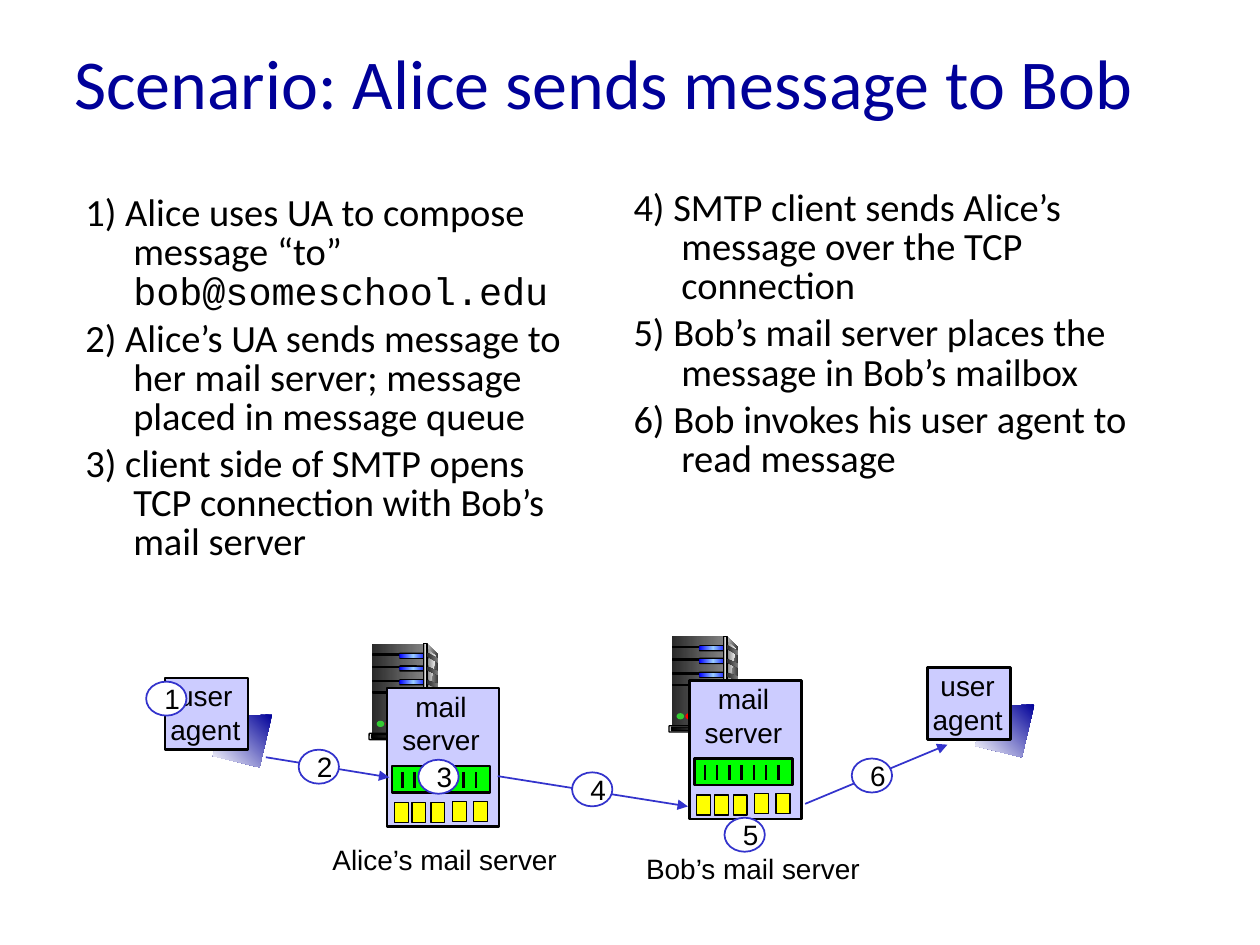
from lxml import etree
from pptx import Presentation
from pptx.dml.color import RGBColor
from pptx.enum.shapes import MSO_CONNECTOR, MSO_SHAPE
from pptx.enum.text import MSO_ANCHOR, MSO_AUTO_SIZE, PP_ALIGN
from pptx.oxml.ns import qn
from pptx.util import Inches, Pt

RECT, ROUND, OVAL = MSO_SHAPE.RECTANGLE, MSO_SHAPE.ROUNDED_RECTANGLE, MSO_SHAPE.OVAL
STRAIGHT = MSO_CONNECTOR.STRAIGHT
CENTER, LEFT, MIDDLE = PP_ALIGN.CENTER, PP_ALIGN.LEFT, MSO_ANCHOR.MIDDLE
FIT = MSO_AUTO_SIZE.SHAPE_TO_FIT_TEXT

COLORS = {
    "black": "000000", "white": "FFFFFF", "navy": "000099", "link": "3333CC",
    "panel": "CCCCFF", "queue": "00FF00", "mailbox": "FFFF00",
    "silver": "DDDDDD", "dark": "333333", "coal": "292929", "gray": "808080",
    "pale": "F8F8F8", "blue": "0000FF", "sky": "99CCFF",
    "green": "33CC33", "red": "FF0000",
}


def add_part(parent, kind, frame, fill, line=0, line_color="black", angle=0):
    if kind == "polygon":
        points = [(Inches(x), Inches(y)) for x, y in frame]
        outline = parent.shapes.build_freeform(*points[0], scale=1.0)
        outline.add_line_segments(points[1:], close=True)
        part = outline.convert_to_shape()
    else:
        part = parent.shapes.add_shape(kind, *[Inches(value) for value in frame])
    part.shadow.inherit = False
    if kind == ROUND:
        part.adjustments[0] = 0.11
    names = fill.split()
    if len(names) == 1:
        part.fill.solid()
        part.fill.fore_color.rgb = RGBColor.from_string(COLORS[fill])
    else:
        part.fill.gradient()
        gradient = part._element.spPr.find(qn("a:gradFill"))
        stops = gradient.find(qn("a:gsLst"))
        for stop in list(stops):
            stops.remove(stop)
        for index, name in enumerate(names):
            stop = etree.SubElement(stops, qn("a:gs"), pos=str(index * 100000 // (len(names) - 1)))
            etree.SubElement(stop, qn("a:srgbClr"), val=COLORS[name])
        gradient.find(qn("a:lin")).set("ang", str(angle * 60000))
    if line:
        part.line.width = Pt(line)
        part.line.color.rgb = RGBColor.from_string(COLORS[line_color])
    else:
        part.line.fill.background()
    return part


def write(box, lines, size, font="Arial", color="black", align=CENTER):
    frame = box.text_frame
    for index, text in enumerate(lines):
        para = frame.paragraphs[0] if index == 0 else frame.add_paragraph()
        para.alignment = align
        para.font.size = Pt(size)
        para.font.name = font
        para.font.color.rgb = RGBColor.from_string(COLORS[color])
        for piece in text if isinstance(text, tuple) else (text,):
            para.add_run().text = piece
    return frame


deck = Presentation()
deck.slide_width, deck.slide_height = Inches(10), Inches(7.5)
page = deck.slides.add_slide(deck.slide_layouts[6])

for x, y in [(1.31, 5.38), (7.36, 5.3)]:
    agent = page.shapes.add_group_shape()
    corners = [(0.85, 0.29), (0.45, 0.31), (0.38, 0.62), (0.75, 0.71)]
    add_part(agent, "polygon", [(x + dx, y + dy) for dx, dy in corners], "navy white", angle=135)
    add_part(agent, RECT, (x, y, 0.66, 0.57), "panel", 1.5)
    box = agent.shapes.add_textbox(Inches(x - 0.06), Inches(y - 0.04), Inches(0.76), Inches(0.64))
    frame = write(box, ["user", "agent"], 16)
    frame.word_wrap, frame.auto_size = False, FIT

rack_side = [(0.44, 0), (0.53, 0.09), (0.53, 0.69), (0.42, 0.72)]
rack_edge = [(0.44, 0.04), (0.51, 0.1), (0.47, 0.3), (0.45, 0.55), (0.44, 0.7)]
for x, y in [(5.33, 5.05), (2.95, 5.11)]:
    rack = page.shapes.add_group_shape()
    add_part(rack, "polygon", [(x + dx, y + dy) for dx, dy in rack_side], "silver dark")
    add_part(rack, RECT, (x, y, 0.41, 0.72), "coal gray")
    add_part(rack, "polygon", [(x + dx, y + dy) for dx, dy in rack_edge], "gray pale")
    for dy in (0.08, 0.18, 0.29, 0.38):
        add_part(rack, RECT, (x + 0.01, y + dy, 0.23, 0.01), "black", 0.75)
    for dy in (0.07, 0.17, 0.28):
        add_part(rack, ROUND, (x + 0.22, y + dy, 0.23, 0.05), "black")
        add_part(rack, ROUND, (x + 0.22, y + dy + 0.01, 0.22, 0.03), "blue sky blue")
    add_part(rack, RECT, (x + 0.41, y, 0.03, 0.72), "dark silver dark", 0.75)
    for dy, drop in [(0.07, 0.05), (0.18, 0.04), (0.29, 0.03)]:
        vent = [(0.44, dy), (0.53, dy + drop), (0.53, dy + drop + 0.03), (0.44, dy + 0.03)]
        add_part(rack, "polygon", [(x + dx, y + vy) for dx, vy in vent], "coal gray")
    add_part(rack, ROUND, (x - 0.02, y + 0.71, 0.47, 0.05), "silver", 0.75)
    add_part(rack, ROUND, (x, y + 0.72, 0.42, 0.03), "black gray", 0.75)
    add_part(rack, OVAL, (x + 0.04, y + 0.61, 0.06, 0.05), "green")
    add_part(rack, OVAL, (x + 0.11, y + 0.61, 0.06, 0.05), "red")

title = page.shapes.add_textbox(Inches(0.49), Inches(0.02), Inches(9.01), Inches(1.25))
frame = write(title, ["Scenario: Alice sends message to Bob"], 40, "Calibri", "navy", LEFT)
frame.word_wrap, frame.vertical_anchor = True, MIDDLE

columns = [
    (0.58, 1.5, 3.52, [
        ("1) Alice uses UA to compose message “to” ", "bob@someschool.edu"),
        "2) Alice’s UA sends message to her mail server; message placed in message queue",
        "3) client side of SMTP opens TCP connection with Bob’s mail server",
    ]),
    (4.93, 1.46, 3.57, [
        "4) SMTP client sends Alice’s message over the TCP connection",
        "5) Bob’s mail server places the message in Bob’s mailbox",
        "6) Bob invokes his user agent to read message",
    ]),
]
for x, y, height, steps in columns:
    box = page.shapes.add_textbox(Inches(x), Inches(y), Inches(4.17), Inches(height))
    frame = write(box, steps, 22, "Calibri", align=LEFT)
    frame.word_wrap = True
    for index, para in enumerate(frame.paragraphs):
        para.line_spacing = 0.85
        if index:
            para.space_before = Pt(4.4)
        indent = para._p.get_or_add_pPr()
        indent.set("marL", str(Inches(0.38)))
        indent.set("indent", str(Inches(-0.38)))
        for span in para.runs[1:]:
            span.font.name = "Courier New"

for x, y in [(3.07, 5.46), (5.47, 5.4)]:
    server = page.shapes.add_group_shape()
    add_part(server, RECT, (x, y, 0.89, 1.1), "panel", 1.5)
    box = server.shapes.add_textbox(Inches(x + 0.02), Inches(y - 0.04), Inches(0.82), Inches(0.64))
    frame = write(box, ["mail", "server"], 16)
    frame.word_wrap, frame.auto_size = False, FIT
    add_part(server, RECT, (x + 0.04, y + 0.62, 0.78, 0.21), "queue", 1.5)
    for slot in range(7):
        bar_x = Inches(x + 0.125 + slot * 0.097)
        bar = server.shapes.add_connector(STRAIGHT, bar_x, Inches(y + 0.67), bar_x, Inches(y + 0.79))
        bar.line.width = Pt(1.5)
        bar.line.color.rgb = RGBColor.from_string(COLORS["black"])
        etree.SubElement(bar._element.spPr, qn("a:effectLst"))
    for dx, dy in [(0.06, 0.91), (0.2, 0.91), (0.35, 0.91), (0.52, 0.9), (0.69, 0.9)]:
        add_part(server, RECT, (x + dx, y + dy, 0.11, 0.16), "mailbox", 0.75)

for ends in [(2.11, 6.01, 3.09, 6.17), (3.95, 6.16, 5.46, 6.4), (6.39, 6.38, 7.52, 5.91)]:
    arrow = page.shapes.add_connector(STRAIGHT, *[Inches(value) for value in ends])
    arrow.line.width = Pt(1)
    arrow.line.color.rgb = RGBColor.from_string(COLORS["link"])
    etree.SubElement(arrow.line._get_or_add_ln(), qn("a:tailEnd"), type="triangle")
    etree.SubElement(arrow._element.spPr, qn("a:effectLst"))

badges = [(1.16, 5.41), (2.37, 5.95), (3.32, 6.03), (4.54, 6.13), (5.75, 6.49), (6.76, 6.02)]
for number, (x, y) in enumerate(badges, 1):
    badge = add_part(page, OVAL, (x, y, 0.32, 0.27), "white", 1, "link")
    write(badge, [str(number)], 16).vertical_anchor = MIDDLE

for x, y, width, label in [(2.54, 6.64, 1.99, "Alice’s mail server"), (5.03, 6.71, 1.9, "Bob’s mail server")]:
    box = page.shapes.add_textbox(Inches(x), Inches(y), Inches(width), Inches(0.37))
    frame = write(box, [label], 16, align=LEFT)
    frame.word_wrap, frame.auto_size = False, FIT

deck.save("out.pptx")
